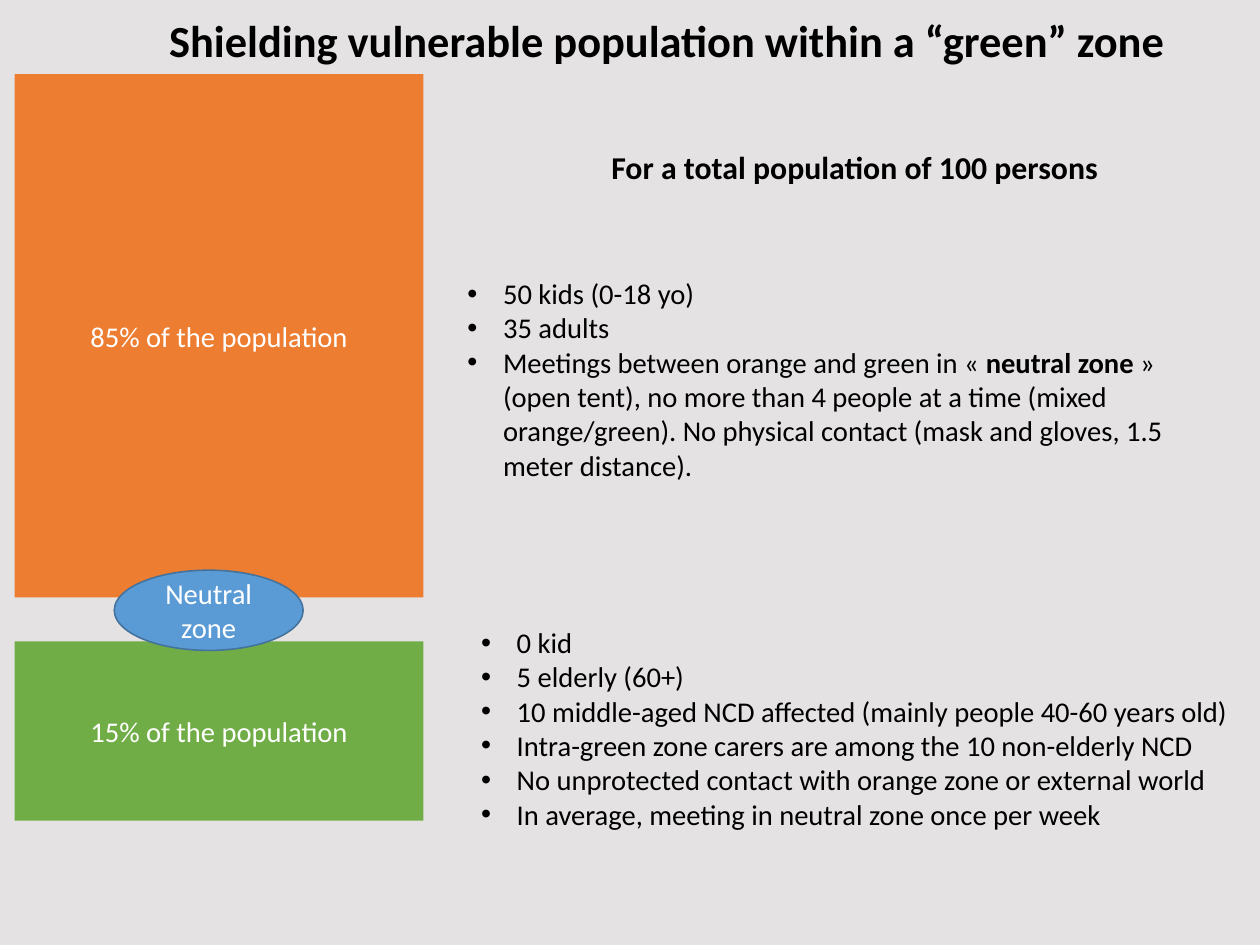
"""Build the slide on shielding vulnerable people within a green zone."""
import pptx
import pptx.dml.color
import pptx.enum.shapes
import pptx.enum.text
import pptx.oxml.ns
import pptx.util
from lxml import etree

Pt = pptx.util.Pt
RGBColor = pptx.dml.color.RGBColor
SHAPE = pptx.enum.shapes.MSO_SHAPE
BACKGROUND = RGBColor(0xE4, 0xE2, 0xE2)
ORANGE = RGBColor(0xED, 0x7D, 0x31)
GREEN = RGBColor(0x70, 0xAD, 0x47)
BLUE = RGBColor(0x5B, 0x9B, 0xD5)
OUTLINE = RGBColor(0x43, 0x72, 0x9D)
WHITE = RGBColor(0xFF, 0xFF, 0xFF)
BLACK = RGBColor(0, 0, 0)


def set_font(font, size, color, bold=False):
    for name, value in {"name": "Calibri", "size": Pt(size), "bold": bold}.items():
        setattr(font, name, value)
    font.color.rgb = color


def add_bullet(para, indent):
    properties = para._p.get_or_add_pPr()
    properties.set("marL", str(Pt(indent)))
    properties.set("indent", str(-Pt(indent)))
    for tag, attribute, value in (("a:buFont", "typeface", "Arial"), ("a:buChar", "char", "•")):
        etree.SubElement(properties, pptx.oxml.ns.qn(tag)).set(attribute, value)


deck = pptx.Presentation()
deck.slide_width, deck.slide_height = Pt(793.7), Pt(595.28)
page = deck.slides.add_slide(deck.slide_layouts[6])
page.background.fill.solid()
page.background.fill.fore_color.rgb = BACKGROUND

zones = [
    (SHAPE.RECTANGLE, (9.3, 46.7, 257.5, 329.7), ORANGE, None, "85% of the population"),
    (SHAPE.RECTANGLE, (9.3, 404, 257.5, 113), GREEN, None, "15% of the population"),
    (SHAPE.OVAL, (72, 359.2, 119, 50.5), BLUE, OUTLINE, "Neutral zone"),
]
for kind, place, fill, outline, label in zones:
    zone = page.shapes.add_shape(kind, *map(Pt, place))
    zone.shadow.inherit = False
    zone.fill.solid()
    zone.fill.fore_color.rgb = fill
    if outline is None:
        zone.line.fill.background()
    else:
        zone.line.color.rgb = outline
        zone.line.width = Pt(1)
    zone.text_frame.word_wrap = True
    zone.text_frame.vertical_anchor = pptx.enum.text.MSO_ANCHOR.MIDDLE
    para = zone.text_frame.paragraphs[0]
    para.text = label
    para.alignment = pptx.enum.text.PP_ALIGN.CENTER
    set_font(para.runs[0].font, 18, WHITE)

headings = [
    ((99.4, 4.7, 649.4, 63.4), 28, True, "Shielding vulnerable population within a “green” zone"),
    ((378, 89.7, 321.1, 31), 20, False, "For a total population of 100 persons"),
]
for place, size, wrap, wording in headings:
    box = page.shapes.add_textbox(*map(Pt, place))
    box.text_frame.word_wrap = wrap
    para = box.text_frame.paragraphs[0]
    para.text = wording
    set_font(para.runs[0].font, size, BLACK, bold=True)

orange_points = [
    ["50 kids (0-18 yo)"],
    ["35 adults"],
    [
        "Meetings between orange and green in « ",
        "neutral zone",
        " » (open tent), no more than 4 people at a time (mixed orange/green). "
        "No physical contact (mask and gloves, 1.5 meter distance).",
    ],
]
green_points = [
    ["0 kid"],
    ["5 elderly (60+)"],
    ["10 middle-aged NCD affected (mainly people 40-60 years old)"],
    ["Intra-green zone carers are among the 10 non-elderly NCD"],
    ["No unprotected contact with orange zone or external world"],
    ["In average, meeting in neutral zone once per week"],
]
lists = [
    ((287.3, 170.4, 493.2, 201.6), orange_points),
    ((295.9, 390.2, 493.2, 136.8), green_points),
]
for place, points in lists:
    box = page.shapes.add_textbox(*map(Pt, place))
    frame = box.text_frame
    frame.word_wrap = True
    for number, pieces in enumerate(points):
        para = frame.add_paragraph() if number else frame.paragraphs[0]
        add_bullet(para, 22.5)
        for piece in pieces:
            span = para.add_run()
            span.text = piece
            set_font(span.font, 18, BLACK, bold=piece == "neutral zone")

deck.save("out.pptx")
